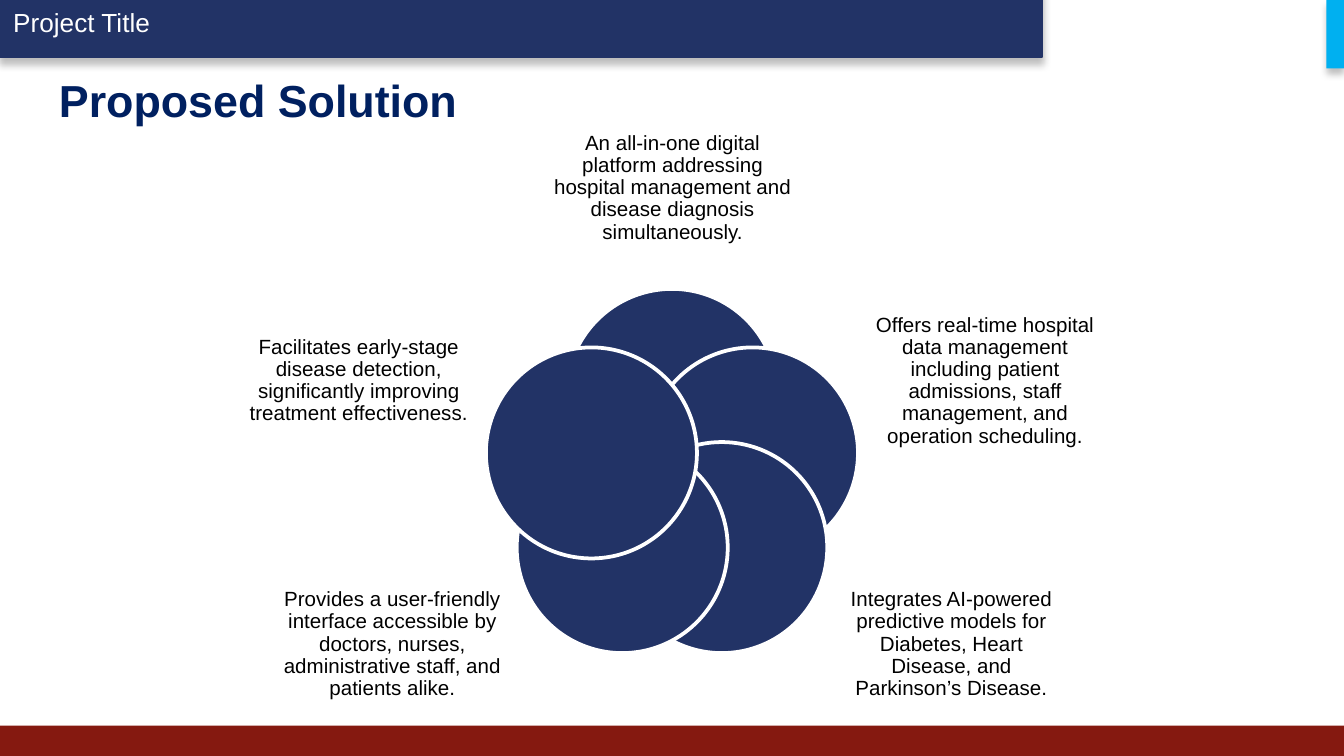
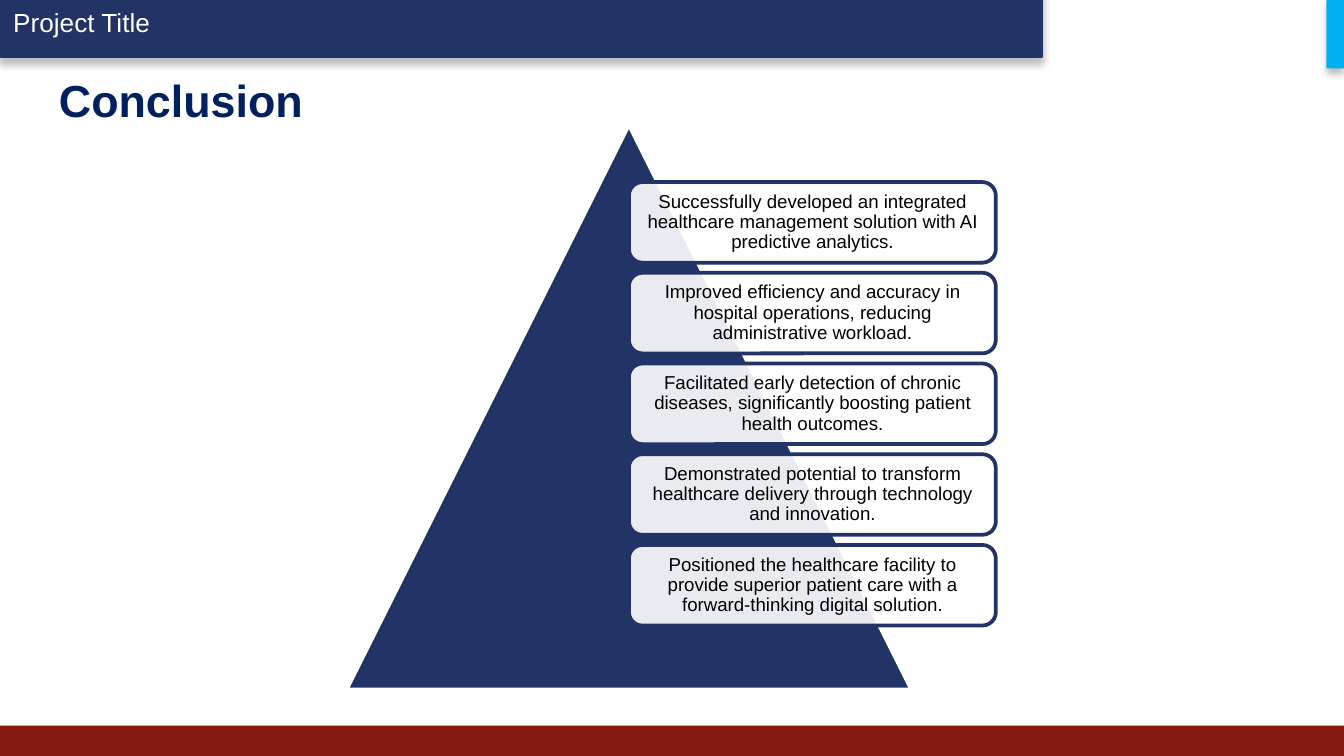
import math
from dataclasses import dataclass

from lxml import etree
from pptx import Presentation
from pptx.dml.color import RGBColor
from pptx.enum.shapes import MSO_SHAPE
from pptx.enum.text import MSO_ANCHOR, PP_ALIGN
from pptx.oxml.ns import qn
from pptx.util import Emu, Pt

RECTANGLE = MSO_SHAPE.RECTANGLE
ROUNDED = MSO_SHAPE.ROUNDED_RECTANGLE
OVAL = MSO_SHAPE.OVAL
TRIANGLE = MSO_SHAPE.ISOSCELES_TRIANGLE
LEFT, CENTER = PP_ALIGN.LEFT, PP_ALIGN.CENTER
TOP, MIDDLE = MSO_ANCHOR.TOP, MSO_ANCHOR.MIDDLE

EMU_PER_PX = 4572  # 200 px to the inch
SLIDE_WIDTH, SLIDE_HEIGHT = 2000, 1125


@dataclass(frozen=True)
class Theme:
    font: str = "Arial"
    navy: str = "223366"
    title: str = "002060"
    red: str = "851910"
    cyan: str = "00B0F0"
    white: str = "FFFFFF"
    black: str = "000000"
    header_size: int = 14
    title_size: int = 24
    label_size: int = 11
    card_size: int = 10
    line_width: int = 2
    line_spacing: float = 0.9


def px(length):
    return Emu(round(length * EMU_PER_PX))


class Deck:
    def __init__(self, theme):
        self.theme = theme
        self.presentation = Presentation()
        self.presentation.slide_width = px(SLIDE_WIDTH)
        self.presentation.slide_height = px(SLIDE_HEIGHT)
        self.slide = None

    def new_slide(self, title):
        """Start a slide with the shared bands, footer and title."""
        theme = self.theme
        layout = self.presentation.slide_layouts[6]
        self.slide = self.presentation.slides.add_slide(layout)
        header = self.shape(RECTANGLE, (0, -18, 1550, 102), theme.navy, theme.navy)
        self.fill_text(header, "Project Title", theme.header_size, theme.white)
        footer_top = 1080
        self.shape(RECTANGLE, (0, footer_top, SLIDE_WIDTH, SLIDE_HEIGHT - footer_top), theme.red)
        tab = self.shape(RECTANGLE, (1974, 0, 26, 102), theme.cyan)
        for band in (header, tab):
            self.shadow(band)
        self.text((68, 98, 1864, 126), title, theme.title_size, theme.title,
                  bold=True, anchor=TOP)

    def shape(self, preset, box, fill, line=None, opacity=100):
        shape = self.slide.shapes.add_shape(preset, *map(px, box))
        shape.shadow.inherit = False
        shape.fill.solid()
        shape.fill.fore_color.rgb = RGBColor.from_string(fill)
        if opacity < 100:
            color = shape.element.spPr.find(qn("a:solidFill"))[0]
            etree.SubElement(color, qn("a:alpha"), val=str(opacity * 1000))
        if line:
            shape.line.color.rgb = RGBColor.from_string(line)
            shape.line.width = Pt(self.theme.line_width)
        else:
            shape.line.fill.background()
        return shape

    def shadow(self, shape):
        """Cast a soft shadow straight down."""
        effects = shape.element.spPr.find(qn("a:effectLst"))
        outer = etree.SubElement(effects, qn("a:outerShdw"), blurRad=str(Pt(4)),
                                 dist=str(Pt(3)), dir="5400000", rotWithShape="0")
        color = etree.SubElement(outer, qn("a:srgbClr"), val=self.theme.black)
        etree.SubElement(color, qn("a:alpha"), val="25000")

    def text(self, box, text, size, color, **options):
        text_box = self.slide.shapes.add_textbox(*map(px, box))
        self.fill_text(text_box, text, size, color, **options)

    def fill_text(self, shape, text, size, color, bold=False, align=LEFT,
                  anchor=MIDDLE, inset=None, spacing=None):
        frame = shape.text_frame
        frame.word_wrap = True
        frame.vertical_anchor = anchor
        if inset is not None:
            frame.margin_left = frame.margin_right = px(inset)
            frame.margin_top = frame.margin_bottom = px(inset)
        paragraph = frame.paragraphs[0]
        paragraph.alignment = align
        if spacing:
            paragraph.line_spacing = spacing
        run = paragraph.add_run()
        run.text = text
        run.font.name = self.theme.font
        run.font.size = Pt(size)
        run.font.bold = bold
        run.font.color.rgb = RGBColor.from_string(color)

    def petal(self, center, diameter):
        left, top = (value - diameter / 2 for value in center)
        self.shape(OVAL, (left, top, diameter, diameter), self.theme.navy, self.theme.white)

    def label(self, box, text):
        theme = self.theme
        self.text(box, text, theme.label_size, theme.black, align=CENTER,
                  inset=0, spacing=theme.line_spacing)

    def card(self, box, text):
        theme = self.theme
        card = self.shape(ROUNDED, box, theme.white, theme.navy, opacity=90)
        self.fill_text(card, text, theme.card_size, theme.black, align=CENTER,
                       inset=8, spacing=theme.line_spacing)


def add_solution(deck):
    deck.new_slide("Proposed Solution")
    label_width, label_height = 328, 230
    upper_top, lower_top = 452, 844
    upper_right, lower_right = 1302, 1252

    def side_label(left, top):
        return left, top, label_width, label_height

    def mirrored(left):
        return SLIDE_WIDTH - left - label_width

    benefits = [
        ((818, 174, 366, 212),
         "An all-in-one digital platform addressing hospital management and "
         "disease diagnosis simultaneously."),
        (side_label(upper_right, upper_top),
         "Offers real-time hospital data management including patient admissions, "
         "staff management, and operation scheduling."),
        (side_label(lower_right, lower_top),
         "Integrates AI-powered predictive models for Diabetes, Heart Disease, "
         "and Parkinson’s Disease."),
        (side_label(mirrored(lower_right), lower_top),
         "Provides a user-friendly interface accessible by doctors, nurses, "
         "administrative staff, and patients alike."),
        (side_label(mirrored(upper_right), upper_top),
         "Facilitates early-stage disease detection, significantly improving "
         "treatment effectiveness."),
    ]
    center_x, center_y, orbit, diameter = 1000, 713, 126, 314
    for index, (box, text) in enumerate(benefits):
        angle = math.tau * index / len(benefits)
        center = (center_x + orbit * math.sin(angle), center_y - orbit * math.cos(angle))
        deck.petal(center, diameter)
        deck.label(box, text)


def add_conclusion(deck):
    deck.new_slide("Conclusion")
    deck.shape(TRIANGLE, (516, 186, 840, 840), deck.theme.navy, deck.theme.white)
    findings = [
        "Successfully developed an integrated healthcare management solution "
        "with AI predictive analytics.",
        "Improved efficiency and accuracy in hospital operations, reducing "
        "administrative workload.",
        "Facilitated early detection of chronic diseases, significantly boosting "
        "patient health outcomes.",
        "Demonstrated potential to transform healthcare delivery through "
        "technology and innovation.",
        "Positioned the healthcare facility to provide superior patient care "
        "with a forward-thinking digital solution.",
    ]
    first_top, card_height, gap = 271, 120, 15
    for index, text in enumerate(findings):
        top = first_top + index * (card_height + gap)
        deck.card((936, top, 546, card_height), text)


def main():
    deck = Deck(Theme())
    add_solution(deck)
    add_conclusion(deck)
    deck.presentation.save("out.pptx")


if __name__ == "__main__":
    main()
